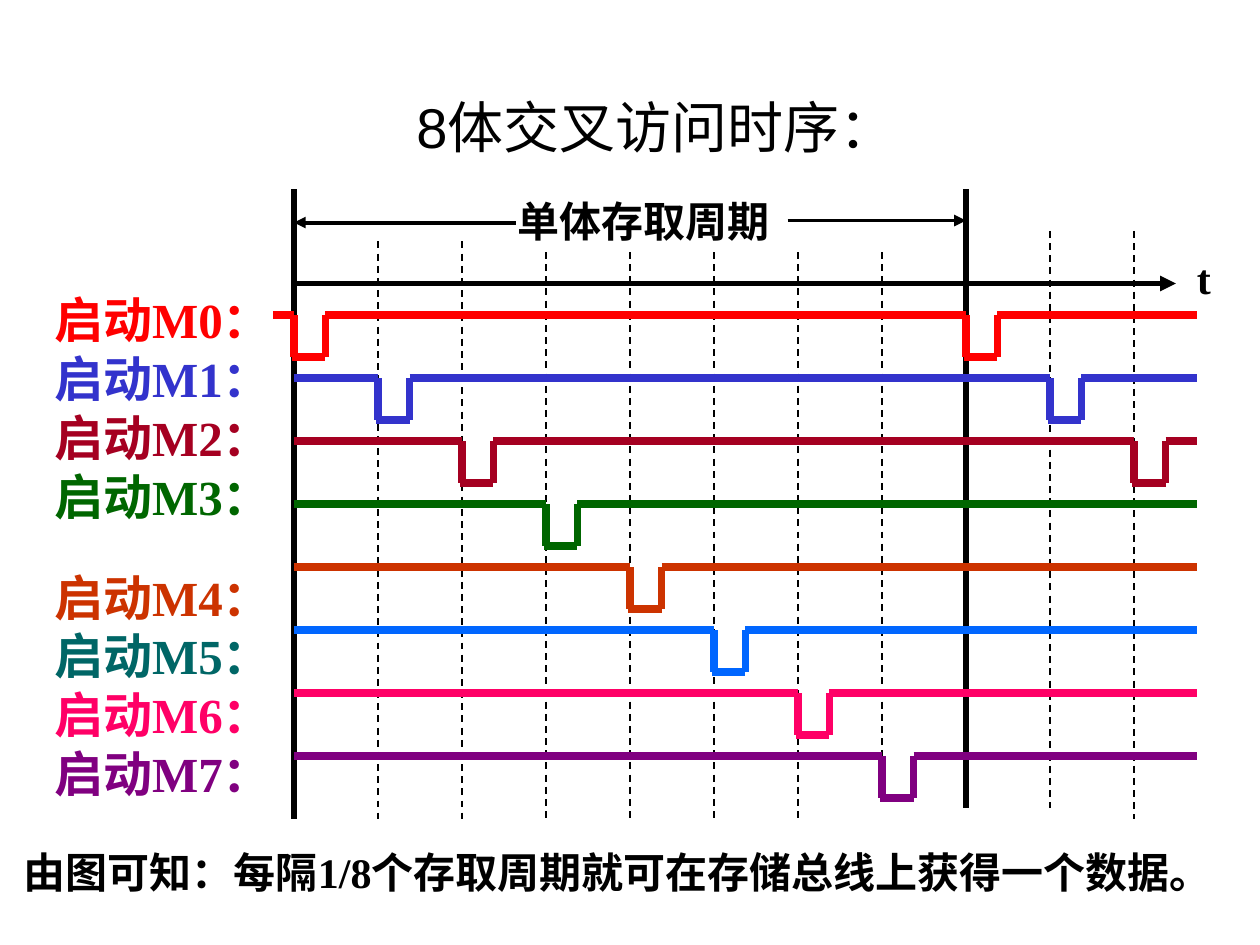
from dataclasses import dataclass
from lxml import etree
from pptx import Presentation
from pptx.dml.color import RGBColor
from pptx.enum.dml import MSO_LINE
from pptx.enum.shapes import MSO_CONNECTOR
from pptx.enum.text import MSO_ANCHOR, MSO_AUTO_SIZE, PP_ALIGN
from pptx.oxml.ns import qn
from pptx.util import Pt

STRAIGHT = MSO_CONNECTOR.STRAIGHT
DASH = MSO_LINE.DASH
FIXED, GROW = MSO_AUTO_SIZE.NONE, MSO_AUTO_SIZE.SHAPE_TO_FIT_TEXT
MIDDLE, CENTER = MSO_ANCHOR.MIDDLE, PP_ALIGN.CENTER
PX = 7620  # 120 px to the inch


@dataclass(frozen=True)
class Theme:
    title_font: str = "Arial"
    body_font: str = "Times New Roman"
    ink: str = "000000"
    title_size: int = 32
    label_size: int = 28
    note_size: int = 24
    wave_line: float = 4.5
    axis_line: float = 3
    span_line: float = 2.25
    guide_line: float = 1


THEME = Theme()

TITLE = "8体交叉访问时序："
PERIOD = "单体存取周期"
CONCLUSION = "由图可知：每隔1/8个存取周期就可在存储总线上获得一个数据。"

# label, label colour, wave colour
MODULES = [
    ("启动M0：", "FF0000", "FF0000"),
    ("启动M1：", "3333CC", "3333CC"),
    ("启动M2：", "A50021", "A50021"),
    ("启动M3：", "006600", "006600"),
    ("启动M4：", "CC3300", "CC3300"),
    ("启动M5：", "006666", "0066FF"),
    ("启动M6：", "FF0066", "FF0066"),
    ("启动M7：", "800080", "800080"),
]
GAP_BEFORE = {4: 24}  # module: points of space above its label

# time slot: top and bottom of its dashed guide
GUIDES = {1: (230, 780), 2: (230, 780), 3: (240, 780), 4: (240, 780),
          5: (240, 780), 6: (240, 780), 7: (240, 740), 9: (220, 770), 10: (220, 780)}

START, SLOT, PERIOD_SLOTS, WAVE_END = 280, 80, 8, 1140
FIRST_ROW, ROW = 300, 60
PULSE_WIDTH, PULSE_DEPTH, CORNER = 30, 40, 2
PERIOD_END = START + PERIOD_SLOTS * SLOT


def add_line(page, begin, end, width, color=THEME.ink, dash=None, arrow=False):
    line = page.shapes.add_connector(STRAIGHT, *(v * PX for v in (*begin, *end)))
    line.line.width = Pt(width)
    line.line.color.rgb = RGBColor.from_string(color)
    if dash:
        line.line.dash_style = dash
    if arrow:
        etree.SubElement(line.line._get_or_add_ln(), qn("a:tailEnd"), type="triangle")
    etree.SubElement(line._element.spPr, qn("a:effectLst"))


def format_font(para, name, size, color, bold=True):
    font = para.font
    font.name, font.size, font.bold = name, Pt(size), bold
    font.color.rgb = RGBColor.from_string(color)


def add_text(page, place, lines, size, colors, wrap=False):
    box = page.shapes.add_textbox(*(v * PX for v in place))
    frame = box.text_frame
    frame.word_wrap = wrap
    frame.auto_size = FIXED if wrap else GROW
    frame.text = "\n".join(lines)
    for para, color in zip(frame.paragraphs, colors):
        format_font(para, THEME.body_font, size, color)
    return frame


def add_title(page):
    title = page.shapes.title
    title.left, title.top, title.width, title.height = (v * PX for v in (220, 82, 810, 77))
    frame = title.text_frame
    frame.text = TITLE
    frame.auto_size = FIXED
    frame.vertical_anchor = MIDDLE
    para = frame.paragraphs[0]
    para.alignment = CENTER
    format_font(para, THEME.title_font, THEME.title_size, THEME.ink, bold=False)


def add_wave(page, module, color):
    """Draw a high level that drops for a short pulse once per period."""
    high = FIRST_ROW + module * ROW
    low = high + PULSE_DEPTH
    x = START if module else START - 20
    first = START + module * SLOT
    for fall in range(first, WAVE_END, PERIOD_SLOTS * SLOT):
        rise = fall + PULSE_WIDTH
        for begin, end in [((x, high), (fall, high)),
                           ((fall, high), (fall, low)),
                           ((fall - CORNER, low), (rise, low)),
                           ((rise, high), (rise, low))]:
            add_line(page, begin, end, THEME.wave_line, color)
        x = rise
    add_line(page, (x, high), (WAVE_END, high), THEME.wave_line, color)


def main():
    deck = Presentation()
    deck.slide_width, deck.slide_height = 1200 * PX, 900 * PX
    page = deck.slides.add_slide(deck.slide_layouts[5])
    add_title(page)

    labels, label_colors, wave_colors = zip(*MODULES)
    frame = add_text(page, (40, 270, 300, 500), labels, THEME.label_size,
                     label_colors, wrap=True)
    for module, space in GAP_BEFORE.items():
        frame.paragraphs[module].space_before = Pt(space)

    for slot, (top, bottom) in GUIDES.items():
        x = START + slot * SLOT
        add_line(page, (x, top), (x, bottom), THEME.guide_line, dash=DASH)
    add_line(page, (START, 180), (START, 780), THEME.axis_line)
    add_line(page, (PERIOD_END, 180), (PERIOD_END, 770), THEME.axis_line)
    add_line(page, (START, 270), (1120, 270), THEME.axis_line, arrow=True)

    for module, color in enumerate(wave_colors):
        add_wave(page, module, color)

    add_line(page, (750, 210), (PERIOD_END, 210), THEME.span_line, arrow=True)
    add_line(page, (491, 212), (START, 212), THEME.span_line, arrow=True)
    for place, text in [((1128, 235, 37, 60), "t"),
                        ((481, 180, 264, 60), PERIOD),
                        ((11, 800, 1174, 60), CONCLUSION)]:
        add_text(page, place, [text], THEME.note_size, [THEME.ink])

    deck.save("out.pptx")


if __name__ == "__main__":
    main()
